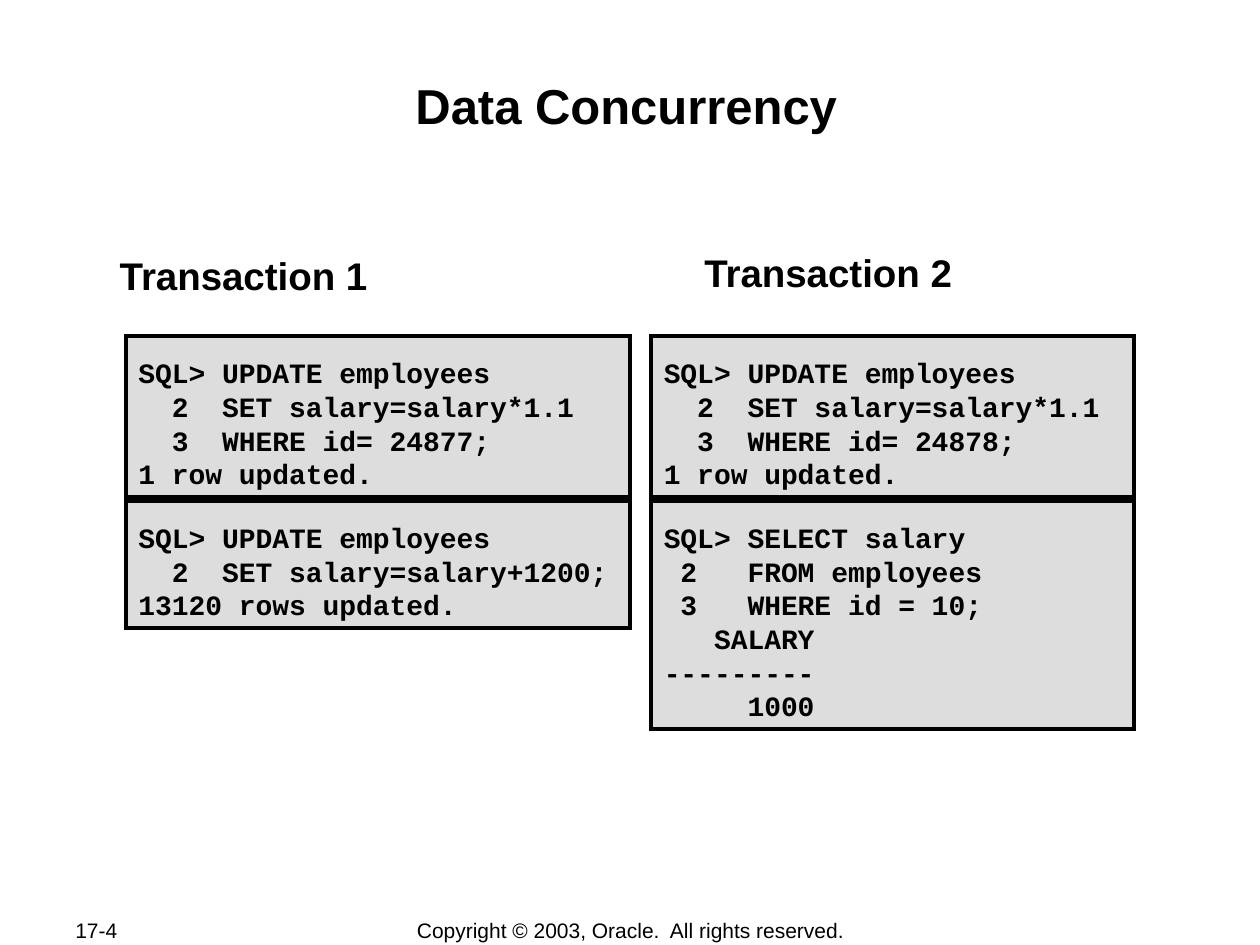
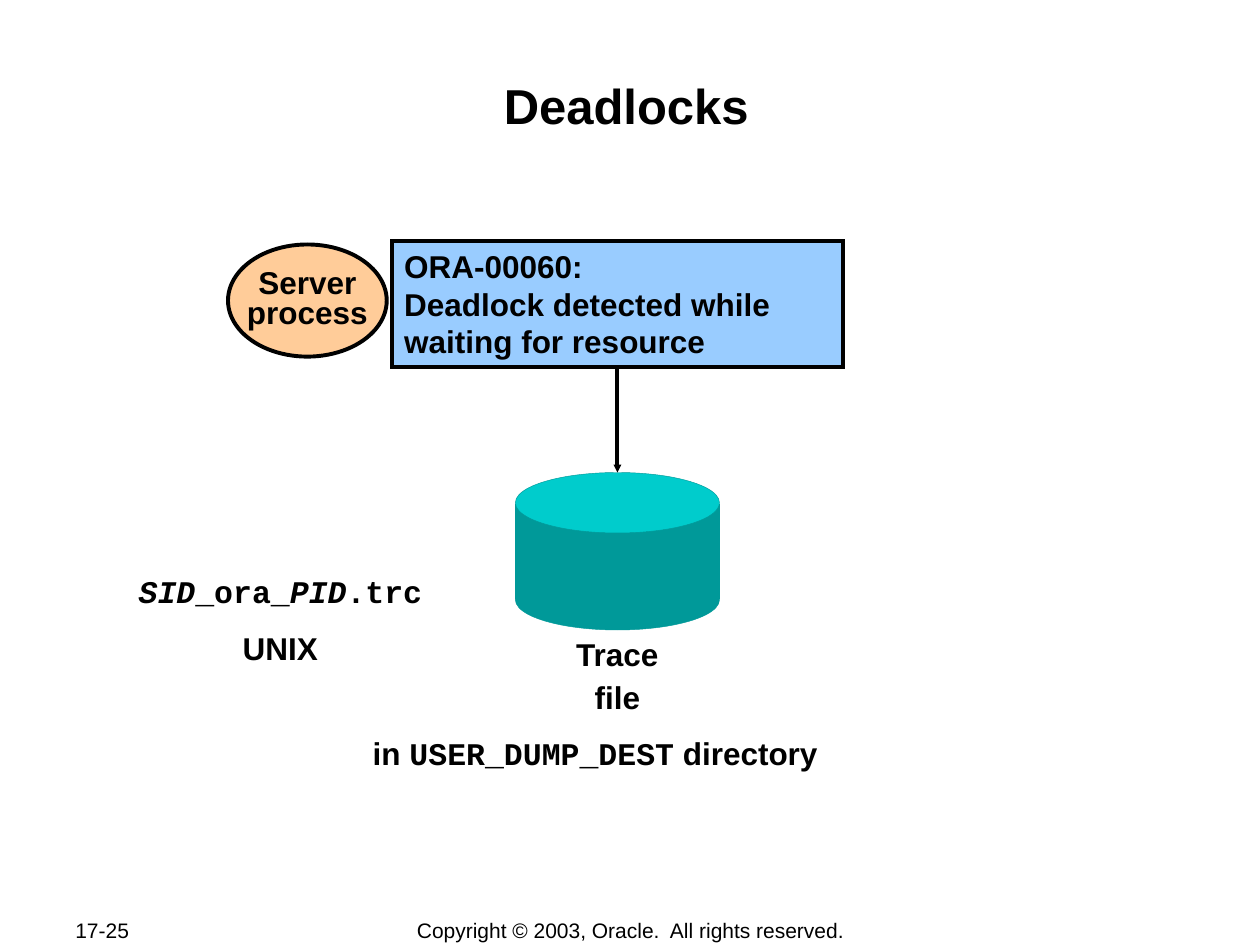
import pptx
import pptx.util
import pptx.dml.color
import pptx.enum.shapes
import pptx.enum.text
import pptx.oxml.ns
from lxml import etree

Pt = pptx.util.Pt
SHAPE = pptx.enum.shapes.MSO_SHAPE
ALIGN = pptx.enum.text.PP_ALIGN
ANCHOR = pptx.enum.text.MSO_ANCHOR

COLOURS = {
    "ink": "000000",
    "code": "DDDDDD",
    "error": "99CCFF",
    "process": "FFCC99",
    "disk": "009999",
    "disk_top": "00CCCC",
}
SANS, MONO = "Arial", "Courier New"
COPYRIGHT = "Copyright © 2003, Oracle.  All rights reserved."

deck = pptx.Presentation()
deck.slide_width = pptx.util.Inches(10)
deck.slide_height = pptx.util.Inches(7.5)

# Grid of 100 columns by 75 rows
COL = deck.slide_width / 100
ROW = deck.slide_height / 75


def place(slide, cell, kind=None, fill=None, line="ink", weight=2.25):
    """Add a text box, or a filled shape of the given kind, on the grid."""
    left, top, width, height = cell
    area = [round(n) for n in (left * COL, top * ROW, width * COL, height * ROW)]
    if kind is None:
        return slide.shapes.add_textbox(*area)
    shape = slide.shapes.add_shape(kind, *area)
    shape.shadow.inherit = False
    shape.fill.solid()
    shape.fill.fore_color.rgb = pptx.dml.color.RGBColor.from_string(COLOURS[fill])
    shape.line.color.rgb = pptx.dml.color.RGBColor.from_string(COLOURS[line])
    shape.line.width = Pt(weight)
    etree.SubElement(shape.line._get_or_add_ln(), pptx.oxml.ns.qn("a:miter"),
                     lim="800000")
    return shape


def write(shape, paragraphs, size=18, font=SANS, bold=True, align=ALIGN.LEFT,
          inset=(1, 0.5), anchor=ANCHOR.TOP, spacing=None, before=0, wrap=True):
    """Fill a shape; a paragraph is a string or a list of (text, font, italic)."""
    frame = shape.text_frame
    frame.word_wrap = wrap
    frame.vertical_anchor = anchor
    frame.margin_left = frame.margin_right = round(inset[0] * COL)
    frame.margin_top = frame.margin_bottom = round(inset[1] * ROW)
    for index, content in enumerate(paragraphs):
        paragraph = frame.paragraphs[0] if index == 0 else frame.add_paragraph()
        paragraph.alignment = align
        if spacing:
            paragraph.line_spacing = spacing
        if index and before:
            paragraph.space_before = Pt(before)
        if isinstance(content, str):
            paragraph.text = content
            styles = [(font, False)] * len(paragraph.runs)
        else:
            for words, _, _ in content:
                paragraph.add_run().text = words
            styles = [(face, italic) for _, face, italic in content]
        for run, (face, italic) in zip(paragraph.runs, styles):
            run.font.name = face
            run.font.size = Pt(size)
            run.font.bold = bold
            run.font.italic = italic
            run.font.color.rgb = pptx.dml.color.RGBColor.from_string(COLOURS["ink"])
    return frame


# Shared title and footer
pages = []
for title, number in (("Data Concurrency", "17-4"), ("Deadlocks", "17-25")):
    page = deck.slides.add_slide(deck.slide_layouts[6])
    write(place(page, (9.7, 5.9, 80, 9)), [title], size=28,
          align=ALIGN.CENTER, inset=(0.1, 0.1))
    for cell, words, align in (((5, 72.8, 10.6, 2), number, ALIGN.LEFT),
                               ((27.6, 72.8, 44.9, 2), COPYRIGHT, ALIGN.CENTER)):
        write(place(page, cell), [words], size=12, bold=False, align=align,
              inset=(1, 0), anchor=ANCHOR.MIDDLE)
    pages.append(page)
concurrency, deadlocks = pages

# Data Concurrency: two transactions side by side
transactions = [
    ("Transaction 1", (9.4, 19.9), 10, 40, [
        ["SQL> UPDATE employees", "  2  SET salary=salary*1.1",
         "  3  WHERE id= 24877;", "1 row updated."],
        ["SQL> UPDATE employees", "  2  SET salary=salary+1200;",
         "13120 rows updated."],
    ]),
    ("Transaction 2", (55.8, 19.7), 51.7, 38.3, [
        ["SQL> UPDATE employees", "  2  SET salary=salary*1.1",
         "  3  WHERE id= 24878;", "1 row updated."],
        ["SQL> SELECT salary", " 2   FROM employees", " 3   WHERE id = 10;",
         "   SALARY", "---------", "     1000"],
    ]),
]
STATEMENT_TOP, STATEMENT_GAP = 26.7, 0.3
FIRST_LINE, NEXT_LINE = 4.75, 2.67

for heading, (left, top), code_left, code_width, statements in transactions:
    write(place(concurrency, (left, top, 27.1, 3.9)), [heading], size=22,
          inset=(0.1, 0.1))
    code_top = STATEMENT_TOP
    for lines in statements:
        code_height = FIRST_LINE + NEXT_LINE * (len(lines) - 1)
        statement = place(concurrency, (code_left, code_top, code_width, code_height),
                          SHAPE.RECTANGLE, "code")
        frame = write(statement, lines, size=16, font=MONO, spacing=Pt(19.25))
        frame.paragraphs[0].line_spacing = Pt(26.75)
        code_top += code_height + STATEMENT_GAP

# Deadlocks: server process and its error
process = place(deadlocks, (18.1, 19.4, 12.6, 8.9), SHAPE.OVAL, "process")
write(process, ["Server\vprocess"], align=ALIGN.CENTER, inset=(0, 0.3),
      anchor=ANCHOR.MIDDLE, spacing=0.8, wrap=False)
error = place(deadlocks, (31.1, 19.1, 35.8, 10), SHAPE.RECTANGLE, "error")
write(error, ["ORA-00060:\vDeadlock detected while waiting for resource"])

# Trace file drawn as a disk
DISK_LEFT, DISK_WIDTH = 40.9, 16.2
disk = [
    place(deadlocks, (DISK_LEFT, top, DISK_WIDTH, height), kind, fill, "disk", 0.25)
    for kind, top, height, fill in (
        (SHAPE.RECTANGLE, 40, 7.5, "disk"),
        (SHAPE.OVAL, 37.5, 4.8, "disk_top"),
        (SHAPE.OVAL, 45.2, 4.8, "disk"),
    )
]

# Arrow from the error to the disk
trace = deadlocks.shapes.add_connector(
    pptx.enum.shapes.MSO_CONNECTOR.STRAIGHT, 0, 0, 0, 0)
trace.begin_connect(error, 2)
trace.end_connect(disk[1], 0)
trace.line.color.rgb = pptx.dml.color.RGBColor.from_string(COLOURS["ink"])
trace.line.width = Pt(2.25)
etree.SubElement(trace.line._get_or_add_ln(), pptx.oxml.ns.qn("a:tailEnd"),
                 type="triangle", w="sm", len="sm")
etree.SubElement(trace._element.spPr, pptx.oxml.ns.qn("a:effectLst"))

# Captions
write(place(deadlocks, (44.7, 51, 8.6, 6.1)), ["Trace", "file"], align=ALIGN.CENTER,
      inset=(0, 0.5), spacing=0.6, before=11.2)
write(place(deadlocks, (28.6, 57.8, 38, 4)),
      [[("in ", SANS, False), ("USER_DUMP_DEST", MONO, False),
        (" directory", SANS, False)]])
write(place(deadlocks, (10, 44.9, 24.5, 8.6)),
      [[("SID", MONO, True), ("_ora_", MONO, False), ("PID", MONO, True),
        (".trc", MONO, False)], "UNIX"],
      align=ALIGN.CENTER, inset=(0.5, 0.5), before=11.2)

deck.save("out.pptx")
